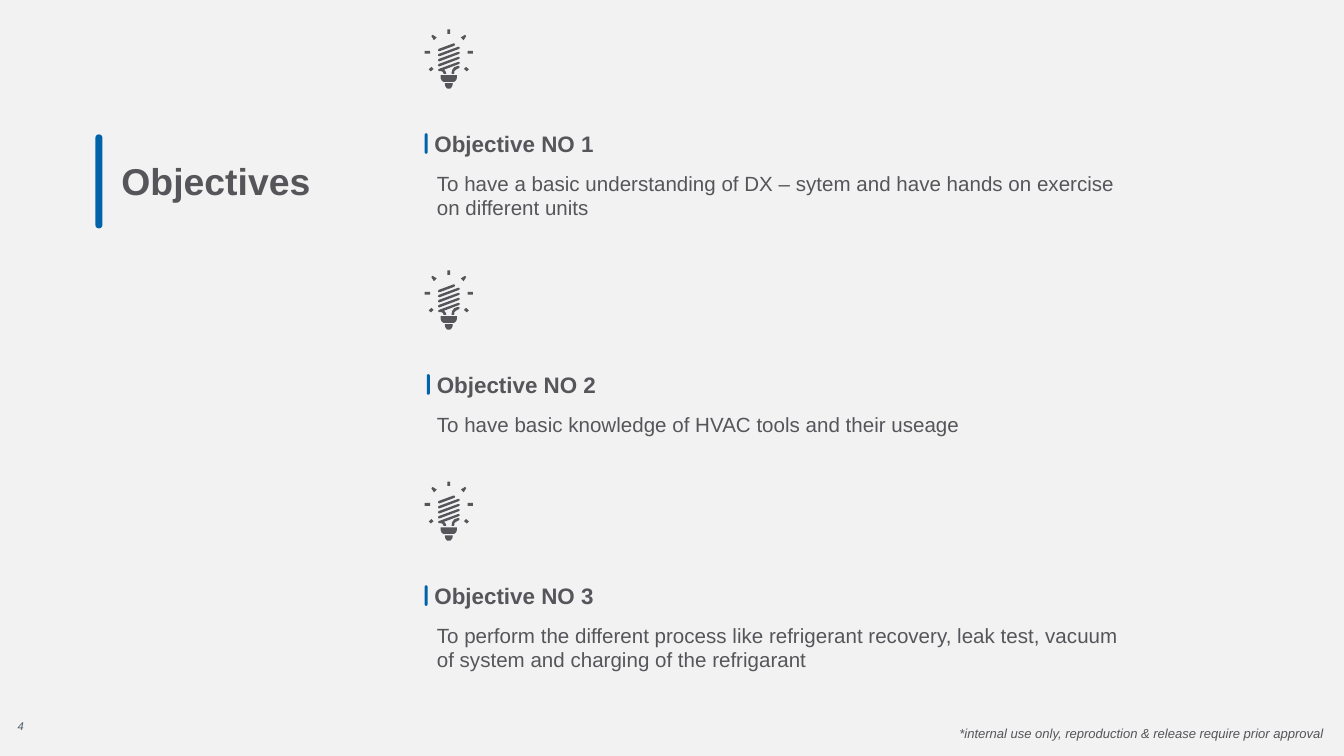
import pptx
import pptx.util
import pptx.dml.color
import pptx.enum.shapes
import pptx.enum.text

Pt = pptx.util.Pt
Anchor = pptx.enum.text.MSO_ANCHOR

COLORS = {"background": "F2F2F2", "text": "55555A", "accent": "0062A9", "number": "4D5D6D"}

FORMATS = {
    "title": {"size": Pt(20), "bold": True},
    "heading": {"size": Pt(12), "bold": True},
    "body": {"size": Pt(11)},
    "footer": {"size": Pt(7), "italic": True},
    "number": {"size": Pt(6), "italic": True},
}

# Heading left, marker left, block top, description width, description
OBJECTIVES = [
    (231.3, 227.5, 15.8, 378.7,
     "To have a basic understanding of DX – sytem and have hands on exercise on different units"),
    (232.6, 228.7, 144.9, 352.8,
     "To have basic knowledge of HVAC tools and their useage"),
    (231.3, 227.5, 258, 371.5,
     "To perform the different process like refrigerant recovery, leak test, vacuum "
     "of system and charging of the refrigarant"),
]

# Light bulb outlines, in tenths of a point
BULB_WIDTH = 259
LEFT_RAYS = [
    [(37, 201), (48, 212), (33, 225), (22, 214)],
    [(0, 115), (29, 115), (29, 130), (0, 130)],
    [(43, 29), (65, 43), (50, 58), (36, 36)],
]
RIGHT_RAYS = [[(BULB_WIDTH - x, y) for x, y in ray] for ray in LEFT_RAYS]
COIL = [(76, 131), (180, 93), (187, 95), (188, 101), (183, 105), (80, 144), (73, 142), (72, 136)]
COIL_STEP = 27
COILS = [[(x, y + turn * COIL_STEP) for x, y in COIL] for turn in range(3)]
BULB = LEFT_RAYS + RIGHT_RAYS + COILS + [
    # Top ray and short top coil
    [(122, 0), (137, 0), (137, 24), (122, 24)],
    [(76, 104), (155, 75), (162, 77), (163, 83), (158, 88), (80, 117), (73, 115), (72, 109)],
    # Lowest coil and its two stems
    [(76, 212), (180, 174), (187, 176), (188, 182), (183, 186), (104, 216), (113, 226),
     (116, 238), (102, 238), (97, 227), (87, 223), (76, 223), (72, 217)],
    [(180, 195), (187, 198), (186, 206), (168, 216), (160, 223), (158, 238), (144, 238),
     (147, 219), (158, 203)],
    # Cap and tip
    [(86, 245), (173, 245), (173, 259), (169, 272), (158, 281), (101, 281), (91, 274), (86, 261)],
    [(108, 288), (151, 288), (149, 303), (140, 315), (136, 317), (123, 317), (118, 315), (110, 303)],
]


class SlideBuilder:
    """Holds the style and the current slide."""

    font_name = "Arial"

    def __init__(self, slide):
        self.slide = slide
        background = slide.background.fill
        background.solid()
        background.fore_color.rgb = self.color("background")

    def color(self, name):
        return pptx.dml.color.RGBColor.from_string(COLORS[name])

    def fill_text(self, shape, text, style, color="text", insets=(1.44, 1.44), anchor=Anchor.TOP):
        frame = shape.text_frame
        horizontal, vertical = (Pt(inset) for inset in insets)
        settings = {
            "word_wrap": True, "auto_size": pptx.enum.text.MSO_AUTO_SIZE.NONE,
            "vertical_anchor": anchor, "margin_left": horizontal, "margin_right": horizontal,
            "margin_top": vertical, "margin_bottom": vertical,
        }
        for name, value in settings.items():
            setattr(frame, name, value)
        paragraph = frame.paragraphs[0]
        paragraph.text = text
        paragraph.alignment = pptx.enum.text.PP_ALIGN.LEFT
        for name, value in {"name": self.font_name, **FORMATS[style]}.items():
            setattr(paragraph.font, name, value)
        paragraph.font.color.rgb = self.color(color)

    def paint(self, shape, color):
        shape.shadow.inherit = False
        shape.fill.solid()
        shape.fill.fore_color.rgb = self.color(color)
        shape.line.fill.background()

    def title(self, box, text):
        shape = self.slide.shapes.title
        for name, value in zip(("left", "top", "width", "height"), box):
            setattr(shape, name, Pt(value))
        self.fill_text(shape, text, "title", anchor=Anchor.MIDDLE)

    def text(self, box, text, style, **options):
        shape = self.slide.shapes.add_textbox(*(Pt(value) for value in box))
        self.fill_text(shape, text, style, **options)

    def bar(self, box):
        shape = self.slide.shapes.add_shape(
            pptx.enum.shapes.MSO_SHAPE.ROUNDED_RECTANGLE, *(Pt(value) for value in box))
        shape.adjustments[0] = 0.5
        self.paint(shape, "accent")

    def bulb(self, left, top):
        builder = self.slide.shapes.build_freeform(*BULB[0][0], scale=Pt(0.1))
        for outline in BULB:
            builder.move_to(*outline[0])
            builder.add_line_segments(outline[1:], close=True)
        self.paint(builder.convert_to_shape(Pt(left), Pt(top)), "text")


def main():
    presentation = pptx.Presentation()
    presentation.slide_width = Pt(720)
    presentation.slide_height = Pt(405)
    builder = SlideBuilder(presentation.slides.add_slide(presentation.slide_layouts[5]))

    # Title with its accent bar
    builder.bar((51.1, 72, 3.8, 50.4))
    builder.title((63.6, 72.7, 150, 48.2), "Objectives")

    # Objectives
    for number, (left, marker, top, width, description) in enumerate(OBJECTIVES, 1):
        builder.bulb(227.5, top)
        builder.bar((marker, top + 55.6, 1.6, 11))
        builder.text((left, top + 55.6, 100, 11.5), f"Objective NO {number}", "heading",
                     anchor=Anchor.MIDDLE)
        builder.text((232.6, top + 74.2, width, 32), description, "body")

    # Footer and slide number
    builder.text((506.9, 385.2, 213.1, 15.8),
                 "*internal use only, reproduction & release require prior approval",
                 "footer", insets=(7.2, 3.6))
    builder.text((9.4, 385.2, 33.1, 15.1), "4", "number", color="number", insets=(0, 0))

    presentation.save("out.pptx")


if __name__ == "__main__":
    main()
